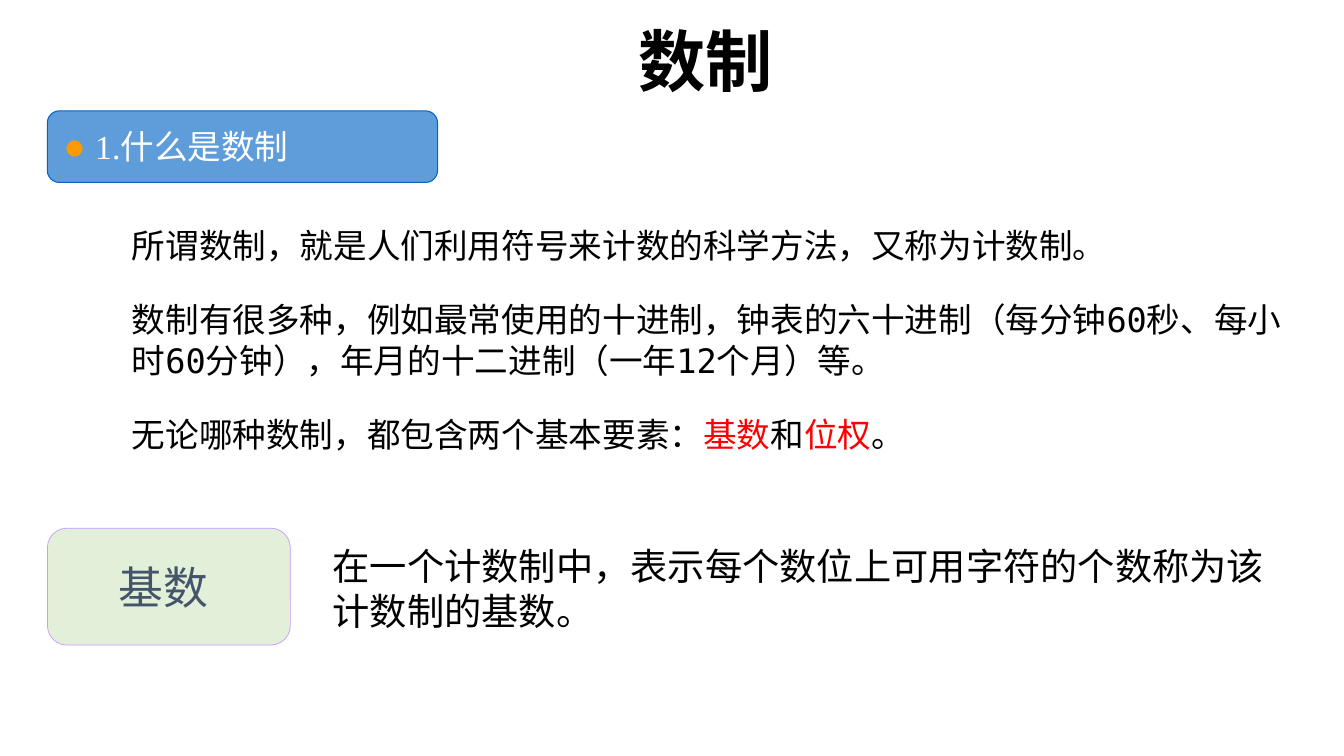
import pptx
import pptx.dml.color
import pptx.enum.shapes
import pptx.enum.text
import pptx.oxml
import pptx.oxml.ns
import pptx.util

RGBColor = pptx.dml.color.RGBColor
Inches = pptx.util.Inches
Shapes = pptx.enum.shapes.MSO_SHAPE
Align = pptx.enum.text.PP_ALIGN
Anchor = pptx.enum.text.MSO_ANCHOR

BLACK = RGBColor(0x00, 0x00, 0x00)
WHITE = RGBColor(0xFF, 0xFF, 0xFF)
RED = RGBColor(0xFF, 0x00, 0x00)
ORANGE = RGBColor(0xFF, 0x99, 0x00)
BLUE = RGBColor(0x5E, 0x9C, 0xDA)
DARK_BLUE = RGBColor(0x05, 0x63, 0xC1)
GREEN = RGBColor(0xE2, 0xF0, 0xD9)
LILAC = RGBColor(0xCC, 0x99, 0xFF)
SLATE = RGBColor(0x44, 0x54, 0x6A)

SERIF = "Times New Roman"
MONO = "DejaVu Sans Mono"
CHINESE = "Noto Sans CJK SC"
TITLE_FONT = "Noto Sans CJK JP"


def add_text(paragraph, text, size=24, font=MONO, asian=CHINESE, color=BLACK, bold=False):
    run = paragraph.add_run()
    run.text = text
    run.font.size = pptx.util.Pt(size)
    run.font.name = font
    run.font.bold = bold
    run.font.color.rgb = color
    east_asian = pptx.oxml.parse_xml(
        f'<a:ea {pptx.oxml.ns.nsdecls("a")} typeface="{asian}"/>')
    run.font._element.find(pptx.oxml.ns.qn("a:latin")).addnext(east_asian)


class SlideBuilder:
    def __init__(self, presentation):
        self.slide = presentation.slides.add_slide(presentation.slide_layouts[5])

    def fill_frame(self, shape, runs, align=Align.LEFT, anchor=Anchor.TOP, wrap=True):
        frame = shape.text_frame
        frame.word_wrap = wrap
        frame.auto_size = pptx.enum.text.MSO_AUTO_SIZE.NONE
        frame.vertical_anchor = anchor
        paragraph = frame.paragraphs[0]
        paragraph.alignment = align
        for text, style in runs:
            add_text(paragraph, text, **style)
        return frame

    def title(self, text, left, top, width, height):
        shape = self.slide.shapes.title
        shape.left, shape.top = Inches(left), Inches(top)
        shape.width, shape.height = Inches(width), Inches(height)
        style = dict(size=48, font=TITLE_FONT, asian=TITLE_FONT, bold=True)
        frame = self.fill_frame(shape, [(text, style)], Align.CENTER, Anchor.MIDDLE)
        frame.paragraphs[0].line_spacing = 0.9

    def text(self, runs, left, top, width, height):
        shape = self.slide.shapes.add_textbox(
            Inches(left), Inches(top), Inches(width), Inches(height))
        self.fill_frame(shape, runs)

    def panel(self, kind, left, top, width, height, fill, line=None, line_width=0.75):
        shape = self.slide.shapes.add_shape(
            kind, Inches(left), Inches(top), Inches(width), Inches(height))
        shape.shadow.inherit = False
        shape.fill.solid()
        shape.fill.fore_color.rgb = fill
        if line is None:
            shape.line.fill.background()
        else:
            shape.line.color.rgb = line
            shape.line.width = pptx.util.Pt(line_width)
        return shape

    def heading(self, text):
        self.panel(Shapes.ROUNDED_RECTANGLE, 0.47, 1.1, 3.87, 0.71, BLUE, DARK_BLUE)
        label = self.panel(Shapes.RECTANGLE, 0.53, 1.16, 3.75, 0.55, BLUE)
        self.fill_frame(label, [
            ("● ", dict(size=26.6, font=SERIF, color=ORANGE)),
            (text, dict(font=SERIF, color=WHITE)),
        ])

    def term(self, name, definition):
        card = self.panel(
            Shapes.ROUNDED_RECTANGLE, 0.47, 5.24, 2.41, 1.16, GREEN, LILAC, 0.5)
        frame = self.fill_frame(
            card, [(name, dict(size=32, font=SERIF, color=SLATE))],
            Align.CENTER, Anchor.MIDDLE, wrap=False)
        frame.margin_left = frame.margin_right = 0
        frame.margin_top = frame.margin_bottom = 0
        self.text([(definition, dict(size=26.6, font=CHINESE))], 3.2, 5.34, 9.45, 1)


def main():
    presentation = pptx.Presentation()
    presentation.slide_width = Inches(13.33)
    presentation.slide_height = Inches(7.5)

    builder = SlideBuilder(presentation)
    builder.heading("1.什么是数制")
    red = dict(color=RED)
    statements = [
        (2.18, 0.5, [("所谓数制，就是人们利用符号来计数的科学方法，又称为计数制。", {})]),
        (2.92, 0.91, [("数制有很多种，例如最常使用的十进制，钟表的六十进制"
                       "（每分钟60秒、每小时60分钟），年月的十二进制（一年12个月）等。", {})]),
        (4.06, 0.5, [("无论哪种数制，都包含两个基本要素：", {}), ("基数", red),
                     ("和", {}), ("位权", red), ("。", {})]),
    ]
    for top, height, runs in statements:
        builder.text(runs, 1.21, top, 11.66, height)
    builder.term("基数 ", "在一个计数制中，表示每个数位上可用字符的个数称为该计数制的基数。")
    builder.title("数制", 4.12, 0.2, 5.76, 0.89)

    presentation.save("out.pptx")


if __name__ == "__main__":
    main()
